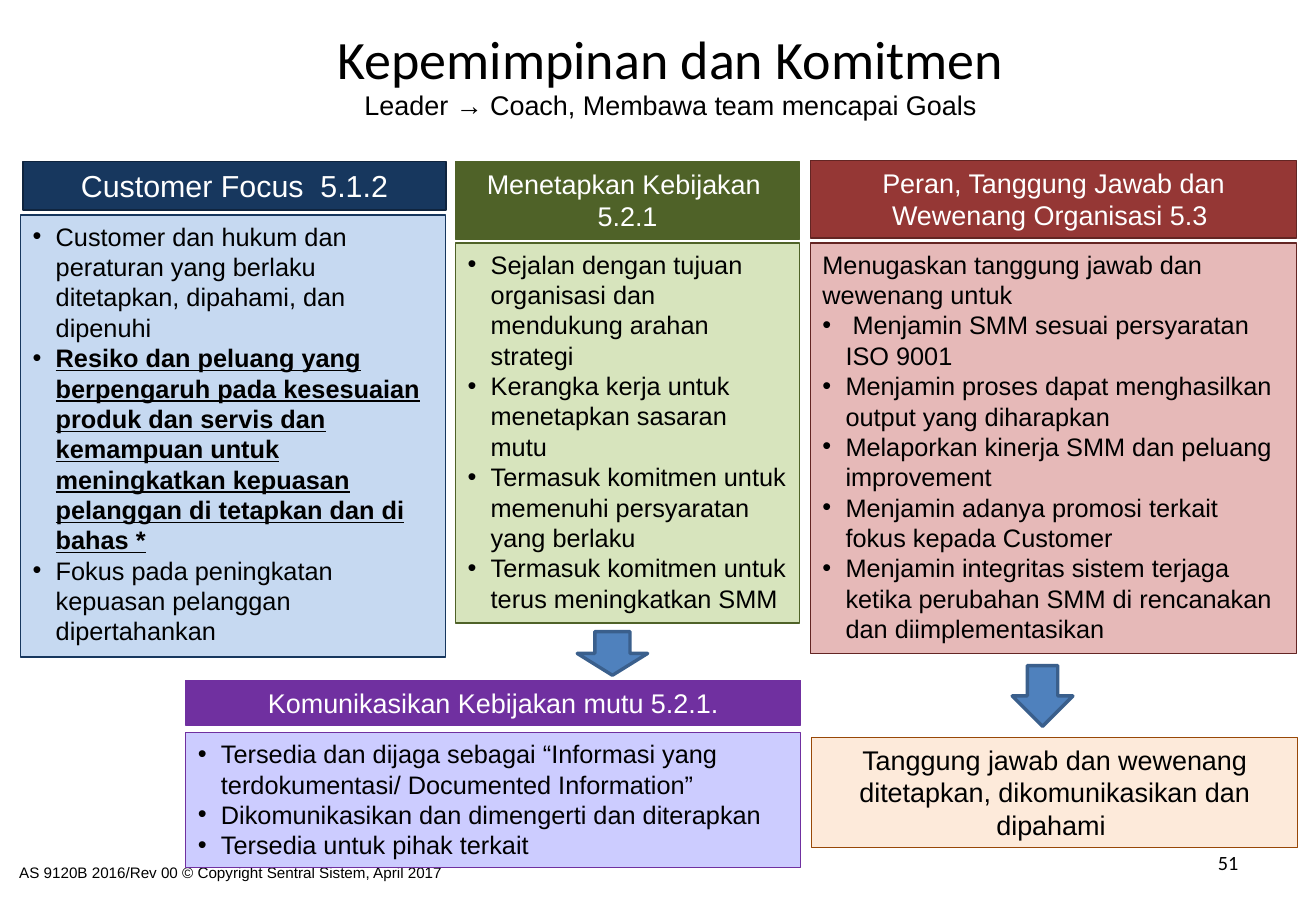
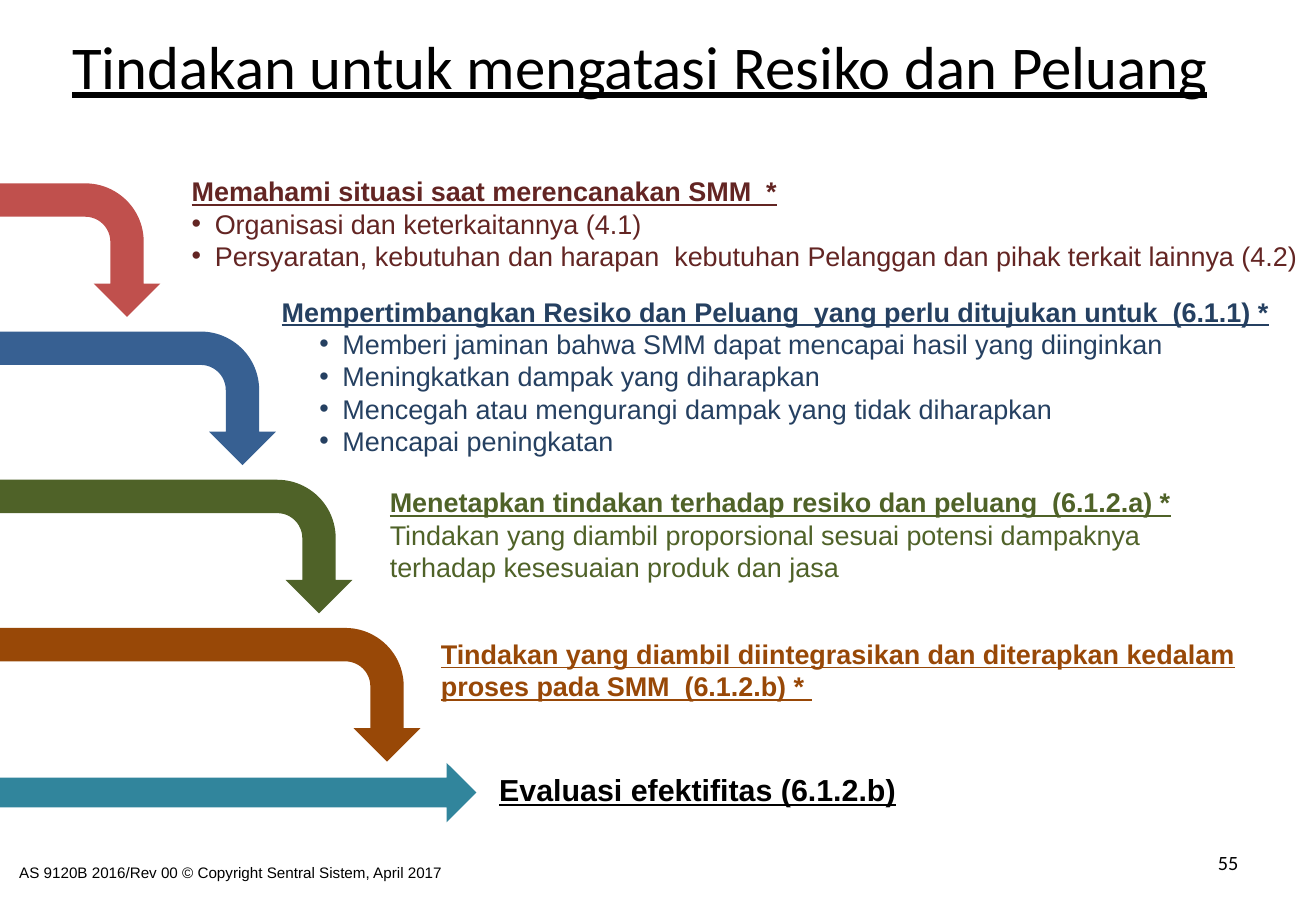
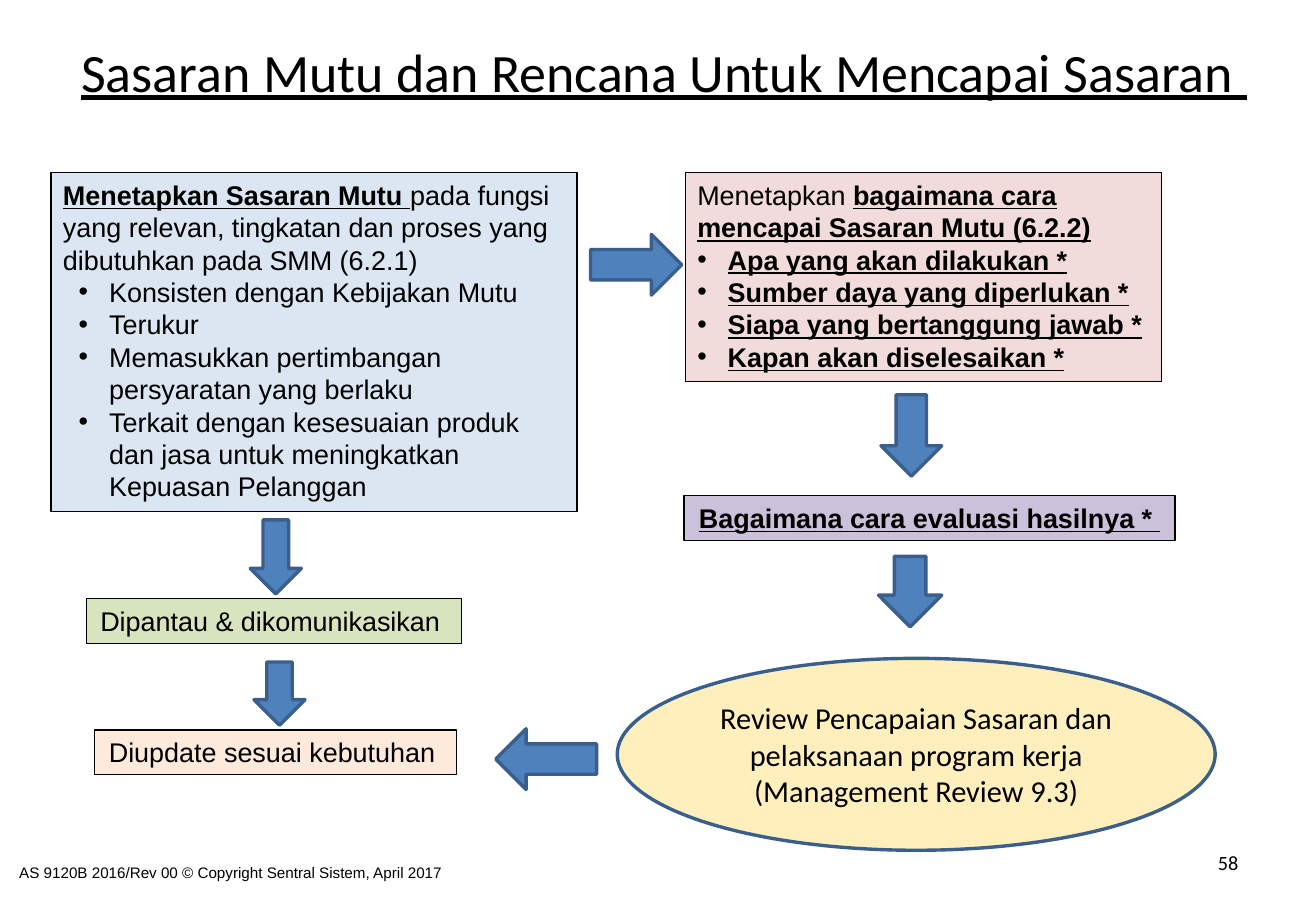
from lxml.etree import SubElement as Sub
from pptx import Presentation
from pptx.dml.color import RGBColor
from pptx.enum.shapes import MSO_SHAPE as Kind
from pptx.enum.text import MSO_ANCHOR as Anchor, MSO_AUTO_SIZE as Fit, PP_ALIGN as Align
from pptx.oxml.ns import qn
from pptx.util import Inches, Pt

BLACK, WHITE = "000000", "FFFFFF"
BLUE, EDGE = "4F81BD", "3A5F8C"
NOTE = "AS 9120B 2016/Rev 00 © Copyright Sentral Sistem, April 2017"
LEFT, MID, RIGHT = Align.LEFT, Align.CENTER, Align.RIGHT


def rgb(code):
    """Turn a hex string into a colour."""
    return RGBColor.from_string(code)


def inch(*nums):
    """Turn numbers into lengths."""
    return [Inches(num) for num in nums]


def dot(para, left, hang):
    """Give a paragraph a hanging bullet."""
    props = para._p.get_or_add_pPr()
    props.set("marL", str(Inches(left)))
    props.set("indent", str(-Inches(hang)))
    Sub(props, qn("a:buFont")).set("typeface", "Arial")
    Sub(props, qn("a:buChar")).set("char", "•")


def write(frame, lines, size=16, color=BLACK, font="Arial", align=LEFT,
          left=0.19, hang=0.19, wrap=True, anchor=Anchor.TOP, under=False):
    """Fill a frame; a line opening with • is a bullet, _..._ is bold underlined."""
    frame.auto_size, frame.word_wrap = Fit.NONE, wrap
    frame.vertical_anchor = anchor
    for i, line in enumerate(lines):
        para = frame.add_paragraph() if i else frame.paragraphs[0]
        para.alignment = align
        if line.startswith("•"):
            dot(para, left, hang)
            line = line[1:]
        for j, part in enumerate(line.split("_")):
            if part:
                run = para.add_run()
                run.text = part
                face = run.font
                face.name, face.size = font, Pt(size)
                face.color.rgb = rgb(color)
                face.bold = j % 2 == 1
                face.underline = under or j % 2 == 1


def label(slide, at, *lines, **style):
    """Add a plain text box."""
    write(slide.shapes.add_textbox(*inch(*at)).text_frame, lines, **style)


def shape(slide, kind, at, fill, line=None, width=0.75):
    """Add a flat preset shape."""
    item = slide.shapes.add_shape(kind, *inch(*at))
    item.shadow.inherit = False
    item.fill.solid()
    item.fill.fore_color.rgb = rgb(fill)
    if line:
        item.line.color.rgb = rgb(line)
        item.line.width = Pt(width)
    else:
        item.line.fill.background()
    return item


def box(slide, at, fill, line, *lines, **style):
    """Add a bordered rectangle with text."""
    write(shape(slide, Kind.RECTANGLE, at, fill, line).text_frame, lines, **style)


def head(slide, at, fill, line, text, size=16):
    """Add a dark heading bar."""
    box(slide, at, fill, line, text, size=size, color=WHITE, align=MID)


def arrow(slide, kind, *at):
    """Add a blue block arrow."""
    shape(slide, kind, at, BLUE, EDGE, 2)


def bend(slide, top, span, fill):
    """Add an arrow that runs in from the left edge and turns down."""
    deep = 1.1
    at = ((span - deep) / 2, top + (deep - span) / 2, deep, span)
    shape(slide, Kind.BENT_ARROW, at, fill).rotation = 90


def start(deck, title, at, page, size=32, under=True):
    """Add a slide with its title, footer and page number."""
    slide = deck.slides.add_slide(deck.slide_layouts[5])
    name = slide.shapes.title
    name.left, name.top, name.width, name.height = inch(*at)
    write(name.text_frame, [title], size=size, font="Calibri", align=MID,
          anchor=Anchor.MIDDLE, under=under)
    label(slide, (0.06, 7.06, 7.07, 0.29), NOTE, size=9)
    label(slide, (7.76, 6.95, 2.53, 0.4), page, size=12, font="Calibri", align=RIGHT)
    return slide


def lead(deck):
    """Build the leadership slide."""
    slide = start(deck, "Kepemimpinan dan Komitmen", (2.08, -0.02, 6.88, 1), "51", under=False)
    label(slide, (2.42, 0.68, 6.26, 0.37),
          "Leader → Coach, Membawa team mencapai Goals ", align=MID)
    box(slide, (0.17, 1.77, 3.5, 3.64), "C6D9F1", "17375E",
        "•Customer dan hukum dan peraturan yang berlaku ditetapkan, dipahami, dan dipenuhi",
        "•_Resiko dan peluang yang berpengaruh pada kesesuaian produk dan servis dan "
        "kemampuan untuk meningkatkan kepuasan pelanggan di tetapkan dan di bahas *_",
        "•Fokus pada peningkatan kepuasan pelanggan dipertahankan", size=15)
    box(slide, (3.75, 2, 2.83, 3.13), "D7E4BD", "4F6228",
        "•Sejalan dengan tujuan organisasi dan mendukung arahan strategi",
        "•Kerangka kerja untuk menetapkan sasaran mutu",
        "•Termasuk komitmen untuk memenuhi persyaratan yang berlaku",
        "•Termasuk komitmen untuk terus meningkatkan SMM", size=15)
    box(slide, (1.53, 6.03, 5.06, 1.11), "CCCCFF", "7030A0",
        "•Tersedia dan dijaga sebagai “Informasi yang terdokumentasi/ Documented Information”",
        "•Dikomunikasikan dan dimengerti dan diterapkan",
        "•Tersedia untuk pihak terkait", size=15)
    box(slide, (6.67, 2, 4, 3.38), "E6B9B8", "632523",
        "Menugaskan tanggung jawab dan wewenang untuk",
        "• Menjamin SMM sesuai persyaratan ISO 9001",
        "•Menjamin proses dapat menghasilkan output yang diharapkan",
        "•Melaporkan kinerja SMM dan peluang improvement",
        "•Menjamin adanya promosi terkait fokus kepada Customer",
        "•Menjamin integritas sistem terjaga ketika perubahan SMM di rencanakan "
        "dan diimplementasikan", size=15)
    box(slide, (6.68, 6.07, 4, 0.91), "FDEADA", "984807",
        "Tanggung jawab dan wewenang ditetapkan, dikomunikasikan dan dipahami ", align=MID)
    arrow(slide, Kind.DOWN_ARROW, 4.75, 5.2, 0.58, 0.36)
    arrow(slide, Kind.DOWN_ARROW, 8.33, 5.48, 0.5, 0.5)
    head(slide, (0.19, 1.33, 3.48, 0.4), "17375E", "0F243E", "Customer Focus  5.1.2", 18)
    head(slide, (3.75, 1.33, 2.83, 0.64), "4F6228", "4F6228", "Menetapkan Kebijakan  5.2.1")
    head(slide, (6.67, 1.32, 4, 0.64), "953735", "632523",
         "Peran, Tanggung Jawab dan Wewenang Organisasi 5.3 ")
    head(slide, (1.53, 5.6, 5.06, 0.37), "7030A0", "7030A0",
         "Komunikasikan Kebijakan mutu 5.2.1.")


def risk(deck):
    """Build the risk and opportunity slide."""
    slide = start(deck, "Tindakan untuk mengatasi Resiko dan Peluang",
                  (0.39, -0.09, 9.75, 1.25), "55", size=36)
    label(slide, (1.48, 1.39, 9.84, 0.91),
          "_Memahami situasi saat merencanakan SMM  *_",
          "•Organisasi dan keterkaitannya (4.1)",
          "•Persyaratan, kebutuhan dan harapan  kebutuhan Pelanggan dan pihak terkait "
          "lainnya (4.2)", color="632523")
    label(slide, (2.22, 2.38, 8.44, 1.45),
          "_Mempertimbangkan Resiko dan Peluang  yang perlu ditujukan untuk  (6.1.1) *_",
          "•Memberi jaminan bahwa SMM dapat mencapai hasil yang diinginkan",
          "•Meningkatkan dampak yang diharapkan",
          "•Mencegah atau mengurangi dampak yang tidak diharapkan",
          "•Mencapai peningkatan", color="254061", left=0.5, wrap=False)
    label(slide, (3.11, 3.95, 7.5, 0.94),
          "_Menetapkan tindakan terhadap resiko dan peluang  (6.1.2.a) *_",
          "Tindakan yang diambil proporsional sesuai potensi dampaknya",
          "terhadap kesesuaian produk dan jasa", color="4F6228")
    label(slide, (3.53, 5.2, 7.47, 0.64),
          "_Tindakan yang diambil diintegrasikan dan diterapkan kedalam proses pada SMM  "
          "(6.1.2.b) * _", color="984807")
    label(slide, (4.01, 6.3, 3.5, 0.4), "_Evaluasi efektifitas (6.1.2.b)_",
          size=18, wrap=False)
    bends = [(1.32, "C0504D"), (2.27, "376092"), (2.9, "4F6228"), (3.46, "984807")]
    for i, (span, fill) in enumerate(bends):
        bend(slide, 1.51 + 1.22 * i, span, fill)
    shape(slide, Kind.RIGHT_ARROW, (0, 6.28, 3.92, 0.49), "31859C")


def goals(deck):
    """Build the quality goals slide."""
    slide = start(deck, "Sasaran Mutu dan Rencana Untuk Mencapai Sasaran ",
                  (0.42, 0, 10.09, 1.16), "58")
    box(slide, (0.42, 1.42, 4.33, 2.79), "DCE6F2", BLACK,
        "_Menetapkan Sasaran Mutu _pada fungsi yang relevan, tingkatan dan proses yang "
        "dibutuhkan pada SMM (6.2.1)",
        "•Konsisten dengan Kebijakan Mutu", "•Terukur",
        "•Memasukkan pertimbangan persyaratan yang berlaku",
        "•Terkait dengan kesesuaian produk dan jasa untuk meningkatkan Kepuasan Pelanggan",
        left=0.38, hang=0.25)
    box(slide, (5.64, 1.42, 3.92, 1.72), "F2DCDB", BLACK,
        "Menetapkan _bagaimana cara mencapai Sasaran Mutu (6.2.2)_",
        "•_Apa yang akan dilakukan *_", "•_Sumber daya yang diperlukan *_",
        "•_Siapa yang bertanggung jawab *_", "•_Kapan akan diselesaikan *_",
        left=0.25, hang=0.25)
    steps = [
        ((0.71, 4.93, 3.09, 0.37), "D7E4BD", "Dipantau & dikomunikasikan "),
        ((0.78, 6.01, 2.98, 0.37), "FDEADA", "Diupdate sesuai kebutuhan "),
        ((5.63, 4.08, 4.04, 0.37), "CCC1DA", "_Bagaimana cara evaluasi hasilnya * _"),
    ]
    for at, fill, text in steps:
        box(slide, at, fill, BLACK, text, align=MID, wrap=False)
    oval = shape(slide, Kind.OVAL, (5.08, 5.42, 4.92, 1.58), "FFEFBD", EDGE, 2)
    write(oval.text_frame, ["Review Pencapaian Sasaran dan pelaksanaan program kerja",
                            "(Management Review 9.3)"],
          size=18, font="Calibri", align=MID, anchor=Anchor.MIDDLE)
    arrow(slide, Kind.RIGHT_ARROW, 4.86, 1.93, 0.75, 0.5)
    arrow(slide, Kind.LEFT_ARROW, 4.08, 6, 0.83, 0.5)
    for at in [(2.06, 4.28, 0.42, 0.61), (2.09, 5.45, 0.42, 0.52),
               (7.25, 3.25, 0.5, 0.67), (7.23, 4.58, 0.52, 0.58)]:
        arrow(slide, Kind.DOWN_ARROW, *at)


def main():
    """Build and save the deck."""
    deck = Presentation()
    deck.slide_width, deck.slide_height = inch(10.83, 7.5)
    lead(deck)
    risk(deck)
    goals(deck)
    deck.save("out.pptx")


if __name__ == "__main__":
    main()
